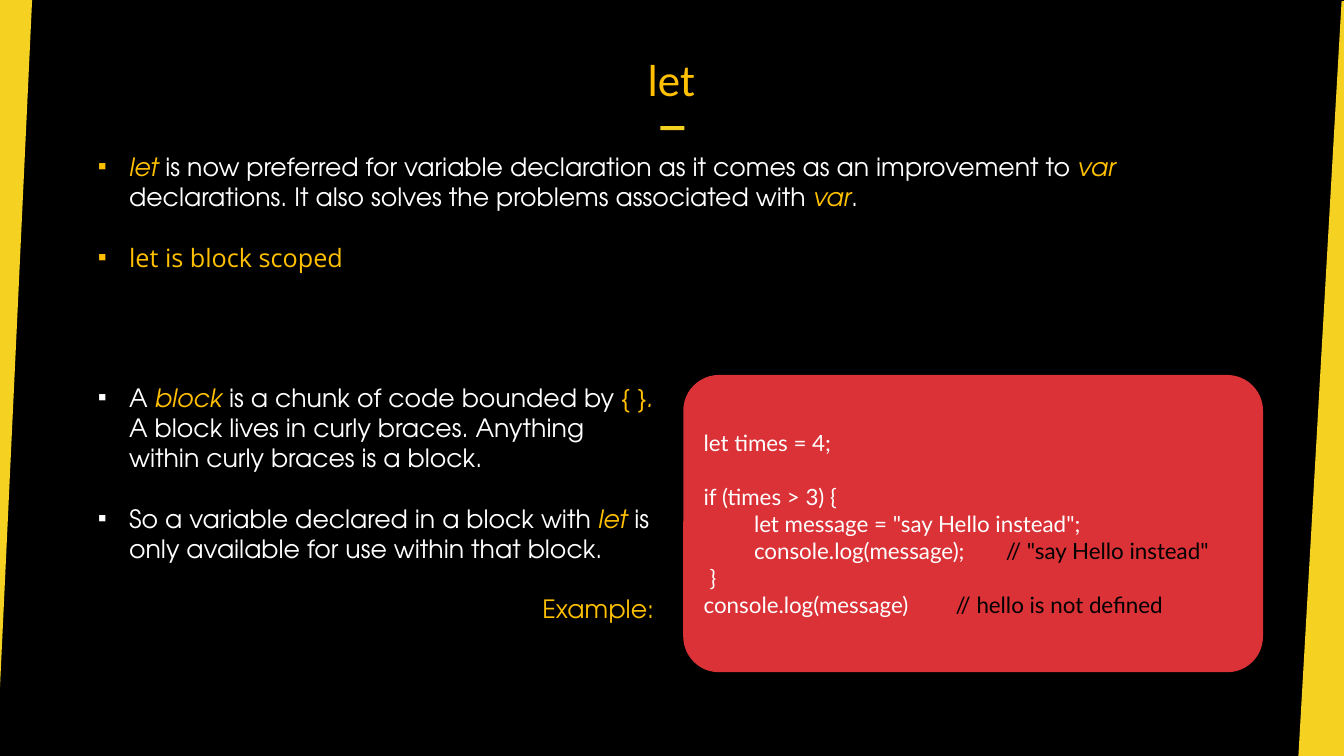
from lxml.etree import SubElement
from pptx import Presentation
from pptx.dml.color import RGBColor as Rgb
from pptx.enum.shapes import MSO_SHAPE as Kind
from pptx.enum.text import MSO_ANCHOR as Anchor, MSO_AUTO_SIZE as Fit, PP_ALIGN as Align
from pptx.oxml.ns import qn
from pptx.util import Cm, Pt

HUES = {"black": "000000", "white": "FFFFFF", "gold": "FFC000",
        "yellow": "F5D121", "red": "DA3236"}
GYRE = "TeX Gyre Adventor"
TABS = (0.73, 6.78)


def hue(name):
    """Return the named colour."""
    return Rgb.from_string(HUES[name])


def paint(shape, name):
    """Give a shape a flat fill with no line or shadow."""
    shape.shadow.inherit = False
    shape.fill.solid()
    shape.fill.fore_color.rgb = hue(name)
    shape.line.fill.background()
    return shape


def place(shape, *box):
    """Move a placeholder to left, top, width, height in cm."""
    shape.left, shape.top, shape.width, shape.height = map(Cm, box)
    return shape


def wedge(slide, points):
    """Draw a yellow edge through points in cm."""
    first, *rest = [(Cm(x), Cm(y)) for x, y in points]
    form = slide.shapes.build_freeform(*first, scale=1.0)
    form.add_line_segments(rest, close=True)
    return paint(form.convert_to_shape(), "yellow")


def block(slide, kind, name, *box):
    """Add a filled preset shape, placed in cm."""
    return paint(slide.shapes.add_shape(kind, *map(Cm, box)), name)


def setup(frame, anchor):
    """Set wrapping, fixed size and anchor of a text frame."""
    frame.word_wrap = True
    frame.auto_size = Fit.NONE
    frame.vertical_anchor = anchor
    return frame


def say(frame, text, font=GYRE, size=18, color="white", accent="gold",
        slant=True, align=Align.LEFT, gap=0, mark=None, indent=0, tabs=()):
    """Add a paragraph in which text between asterisks is accented."""
    par = frame.paragraphs[0]
    if par.runs:
        par = frame.add_paragraph()
    par.alignment = align
    par.space_before = Pt(gap)
    props = par._p.get_or_add_pPr()
    props.set("marL", str(Cm(indent)))
    props.set("indent", str(-Cm(indent) if mark else 0))
    if mark:
        SubElement(props, qn("a:buChar"), char=mark)
    else:
        SubElement(props, qn("a:buNone"))
    if tabs:
        stops = SubElement(props, qn("a:tabLst"))
        for stop in tabs:
            SubElement(stops, qn("a:tab"), pos=str(Cm(stop)), algn="l")
    for i, part in enumerate(text.split("*")):
        if part:
            run = par.add_run()
            run.text = part
            run.font.name = font
            run.font.size = Pt(size)
            run.font.italic = slant and i % 2 == 1
            run.font.color.rgb = hue(accent if i % 2 else color)


def point(frame, text, **look):
    """Add a bulleted paragraph."""
    say(frame, text, mark="▪", indent=0.79, **look)


def code(slide):
    """Add the red panel with the code sample."""
    panel = block(slide, Kind.ROUNDED_RECTANGLE, "red", 17.22, 9.45, 14.61, 7.49)
    panel.adjustments[0] = 0.12
    frame = setup(panel.text_frame, Anchor.MIDDLE)
    lines = [
        ("let times = 4;", {}),
        ("if (times > 3) {", {"gap": 19.2}),
        ('\tlet message = "say Hello instead";', {}),
        ('\tconsole.log(message);\t*// "say Hello instead"*', {}),
        ("}", {"indent": 0.15}),
        ("console.log(message)\t*// hello is not defined*", {}),
    ]
    for text, look in lines:
        say(frame, text, font="Lato", size=16, accent="black", slant=False,
            tabs=TABS, **look)


def main():
    """Build the slide and save it."""
    deck = Presentation()
    deck.slide_width, deck.slide_height = Cm(33.87), Cm(19.05)
    slide = deck.slides.add_slide(deck.slide_layouts[3])
    back = slide.background.fill
    back.solid()
    back.fore_color.rgb = hue("black")
    title, intro, notes = slide.placeholders

    wedge(slide, [(-0.08, 19.05), (-0.13, 19.05), (-0.13, 0), (0.81, 0)])
    wedge(slide, [(33.81, 0.03), (33.87, 0.03), (33.87, 19.08), (32.72, 19.08)])
    block(slide, Kind.RECTANGLE, "yellow", 16.64, 3.18, 0.61, 0.1)

    head = setup(place(title, 12.07, 0.76, 9.7, 1.91).text_frame, Anchor.BOTTOM)
    head.margin_top, head.margin_bottom = Cm(0.1), Cm(0)
    say(head, "let", font="Calibri", size=32, color="gold", align=Align.CENTER)

    top = setup(place(intro, 2.21, 3.68, 29.44, 3.33).text_frame, Anchor.TOP)
    point(top, "*let* is now preferred for variable declaration as it comes as an "
          "improvement to *var* declarations. It also solves the problems "
          "associated with *var*.")
    point(top, "let is block scoped", font="Open Sans", color="gold", gap=21.6)

    low = setup(place(notes, 2.21, 9.5, 14.53, 7.19).text_frame, Anchor.TOP)
    point(low, "A *block* is a chunk of code bounded by *{ }. *A block lives in "
          "curly braces. Anything within curly braces is a block.")
    point(low, "So a variable declared in a block with *let* is only available "
          "for use within that block.", gap=21.6)
    say(low, "Example:", color="gold", align=Align.RIGHT, gap=21.6)

    code(slide)
    deck.save("out.pptx")


if __name__ == "__main__":
    main()
